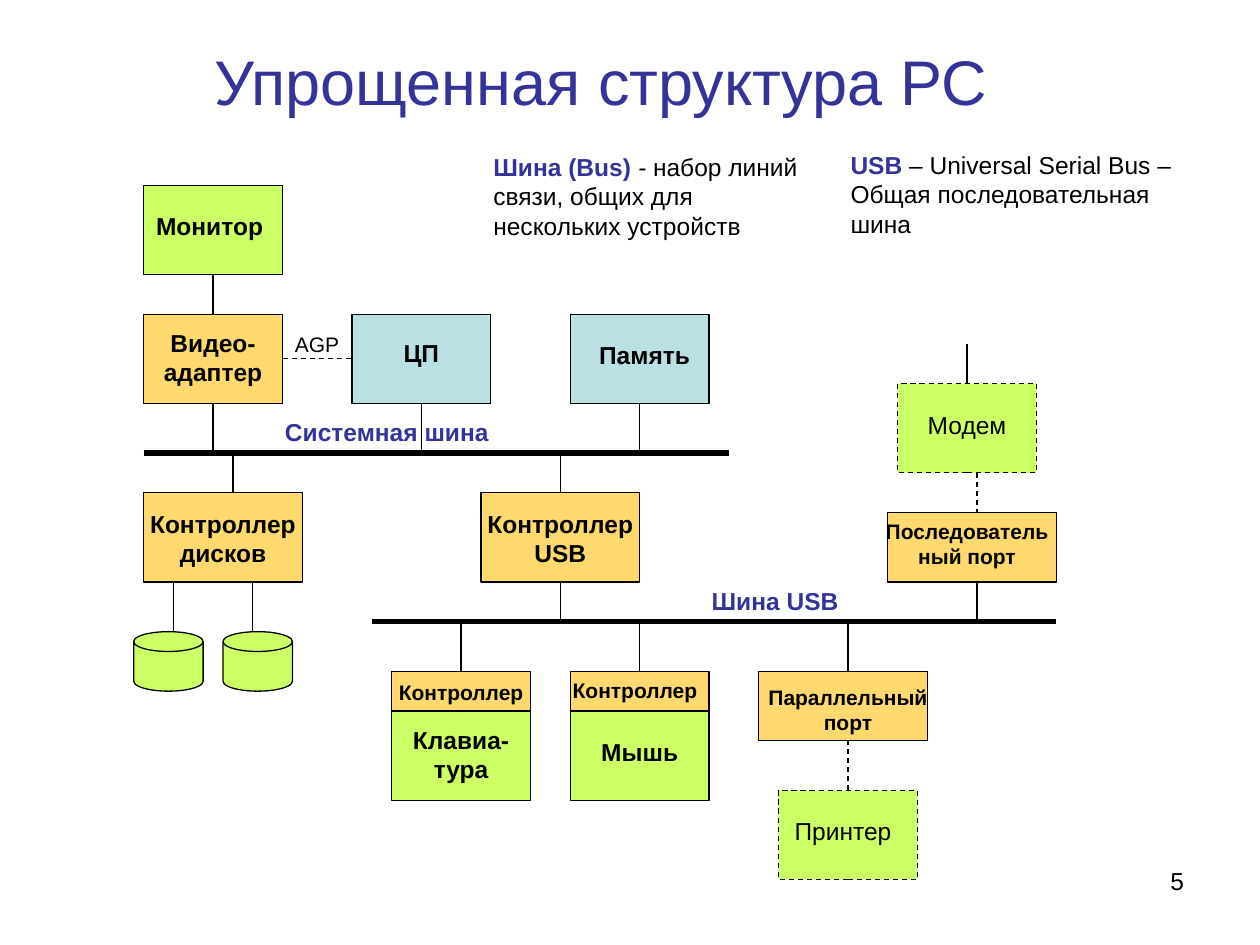
from pptx import Presentation
from pptx.dml.color import RGBColor
from pptx.enum.dml import MSO_LINE
from pptx.enum.shapes import MSO_CONNECTOR, MSO_SHAPE
from pptx.enum.text import MSO_ANCHOR, PP_ALIGN
from pptx.oxml.ns import qn
from pptx.util import Inches, Pt

RECT = MSO_SHAPE.RECTANGLE
DISK = MSO_SHAPE.FLOWCHART_MAGNETIC_DISK
LINE = MSO_CONNECTOR.STRAIGHT
DASH = MSO_LINE.DASH
LEFT, MID, RIGHT = PP_ALIGN.LEFT, PP_ALIGN.CENTER, PP_ALIGN.RIGHT
MIDDLE = MSO_ANCHOR.MIDDLE
TOP, WEST, LOW, EAST = range(4)
HUES = {"ink": "000000", "blue": "333399", "lime": "CCFF66",
        "gold": "FFD96D", "aqua": "BBE0E3"}
BUS, USB = 27, 44


class Chart:
    """Draws block diagram parts on a 2 mm grid."""

    font = "Arial"
    unit = 2 / 25.4
    left, top = 1.14, 1.47

    def __init__(self, slide):
        """Keep the slide to draw on."""
        self.slide = slide

    def x(self, col):
        """Turn a column into a length from the left."""
        return Inches(self.left + col * self.unit)

    def y(self, row):
        """Turn a row into a length from the top."""
        return Inches(self.top + row * self.unit)

    def hue(self, name):
        """Look up a colour."""
        return RGBColor.from_string(HUES[name])

    def style(self, font, size, hue, bold):
        """Format a font."""
        font.name, font.size, font.bold = self.font, Pt(size), bold
        font.color.rgb = self.hue(hue)

    def title(self, text):
        """Fill and move the title placeholder."""
        box = self.slide.shapes.title
        box.left, box.top = Inches(0.12), Inches(-0.11)
        box.width, box.height = Inches(9.3), Inches(1.5)
        box.text_frame.text = text
        box.text_frame.vertical_anchor = MIDDLE
        para = box.text_frame.paragraphs[0]
        para.alignment = MID
        self.style(para.font, 36, "blue", False)

    def block(self, col, row, wide, high, hue, dash=False, kind=RECT):
        """Add a filled, outlined shape."""
        box = self.slide.shapes.add_shape(
            kind, self.x(col), self.y(row),
            Inches(wide * self.unit), Inches(high * self.unit))
        box.shadow.inherit = False
        box.fill.solid()
        box.fill.fore_color.rgb = self.hue(hue)
        self.pen(box.line, 0.75, dash)
        return box

    def pen(self, line, width, dash):
        """Format an outline."""
        line.color.rgb = self.hue("ink")
        line.width = Pt(width)
        if dash:
            line.dash_style = DASH

    def label(self, col, row, wide, text, lines=1, size=14, bold=True,
              hue="ink", align=MID):
        """Add a wrapped text box and return its paragraph."""
        high = 0.1 + lines * size / 60
        box = self.slide.shapes.add_textbox(
            self.x(col), self.y(row), Inches(wide * self.unit), Inches(high))
        box.text_frame.word_wrap = True
        para = box.text_frame.paragraphs[0]
        para.text = text
        para.alignment = align
        self.style(para.font, size, hue, bold)
        return para

    def note(self, col, row, wide, parts):
        """Add a definition made of (text, hue, bold, italic) parts."""
        para = self.label(col, row, wide, "", 3, align=LEFT)
        for text, hue, bold, slant in parts:
            run = para.add_run()
            run.text = text
            self.style(run.font, 14, hue, bold)
            run.font.italic = slant

    def wire(self, col, row, end, last, width=0.75, dash=False):
        """Add a straight line between two grid points."""
        line = self.slide.shapes.add_connector(
            LINE, self.x(col), self.y(row), self.x(end), self.y(last))
        self.pen(line.line, width, dash)
        props = line._element.spPr
        props.append(props.makeelement(qn("a:effectLst"), {}))
        return line

    def drop(self, col, row, last, box=None, side=TOP, dash=False):
        """Add a vertical line, joined at its start to a box if given."""
        line = self.wire(col, row, col, last, dash=dash)
        if box is not None:
            line.begin_connect(box, side)
        return line


def main():
    """Build the slide."""
    deck = Presentation()
    deck.slide_width, deck.slide_height = Inches(10), Inches(7.5)
    art = Chart(deck.slides.add_slide(deck.slide_layouts[5]))
    art.title("Упрощенная структура РС")

    screen = art.block(0, 0, 14, 9, "lime")
    video = art.block(0, 13, 14, 9, "gold")
    cpu = art.block(21, 13, 14, 9, "aqua")
    memory = art.block(43, 13, 14, 9, "aqua")
    art.block(0, 31, 16, 9, "gold")
    hub = art.block(34, 31, 16, 9, "gold")
    for col in (-1, 8):
        art.block(col, 45, 7, 6, "lime", kind=DISK)
    for col in (25, 43):
        art.block(col, 53, 14, 9, "lime")
        ctrl = art.block(col, 49, 14, 4, "gold")
        art.drop(col + 7, 49, USB, ctrl)
    art.block(62, 49, 17, 7, "gold")
    art.block(75, 33, 17, 7, "gold")
    modem = art.block(76, 20, 14, 9, "lime", dash=True)
    printer = art.block(64, 61, 14, 9, "lime", dash=True)

    art.wire(0, BUS, 59, BUS, 3)
    art.wire(23, USB, 92, USB, 3)
    art.drop(7, 9, 13, screen, LOW).end_connect(video, TOP)
    for col, box in ((7, video), (28, cpu), (50, memory)):
        art.drop(col, 22, BUS, box, LOW)
    art.drop(42, 31, BUS, hub, TOP)
    art.drop(42, 40, USB, hub, LOW)
    art.drop(83, 20, 16, modem, TOP)
    art.drop(71, 61, 56, printer, TOP, dash=True)
    art.drop(84, 29, 33, dash=True)
    for col, row, last in ((9, BUS, 31), (3, 45, 40), (11, 45, 40),
                           (71, USB, 49), (84, 40, USB)):
        art.drop(col, row, last)
    agp = art.wire(14, 17.5, 21, 17.5, dash=True)
    agp.begin_connect(video, EAST)
    agp.end_connect(cpu, WEST)

    art.label(0, 2, 14, "Монитор", align=LEFT)
    for col, row, wide, text, lines in (
            (0, 13.75, 14, "Видео-адаптер", 2),
            (21, 14.75, 14, "ЦП", 1),
            (44, 15, 13, "Память", 1),
            (-1, 32, 18, "Контроллер дисков", 2),
            (33, 32, 18, "Контроллер USB", 2),
            (25, 53.75, 14, "Клавиа-тура", 2),
            (44, 55, 12, "Мышь", 1)):
        art.label(col, row, wide, text, lines)
    for col, row, wide, text, lines in (
            (23, 49.2, 18, "Контроллер", 1),
            (61, 49.7, 20, "Параллельный порт", 2),
            (73, 33, 20, "Последовательный порт", 2)):
        art.label(col, row, wide, text, lines, 12)
    art.label(42, 49, 15.2, "Контроллер", size=12, align=LEFT)
    art.label(63, 63, 15, "Принтер", bold=False)
    art.label(77, 22, 12, "Модем", bold=False)
    art.label(14, 14.1, 7.4, "AGP", size=12, bold=False, align=LEFT)
    art.label(56, 39.8, 21, "Шина USB", hue="blue", align=LEFT)
    art.label(13, 22.75, 27, "Системная шина", hue="blue", align=LEFT)
    art.note(34, -4, 34, (
        ("Шина (Bus)", "blue", True, False),
        (" - ", "ink", False, True),
        ("набор линий связи, общих для нескольких устройств",
         "ink", False, False)))
    art.note(70, -4.2, 35, (
        ("USB ", "blue", True, False),
        ("– Universal Serial Bus – Общая последовательная шина",
         "ink", False, False)))
    art.label(76.5, 68, 29.6, "5", bold=False, align=RIGHT)
    deck.save("out.pptx")


if __name__ == "__main__":
    main()
